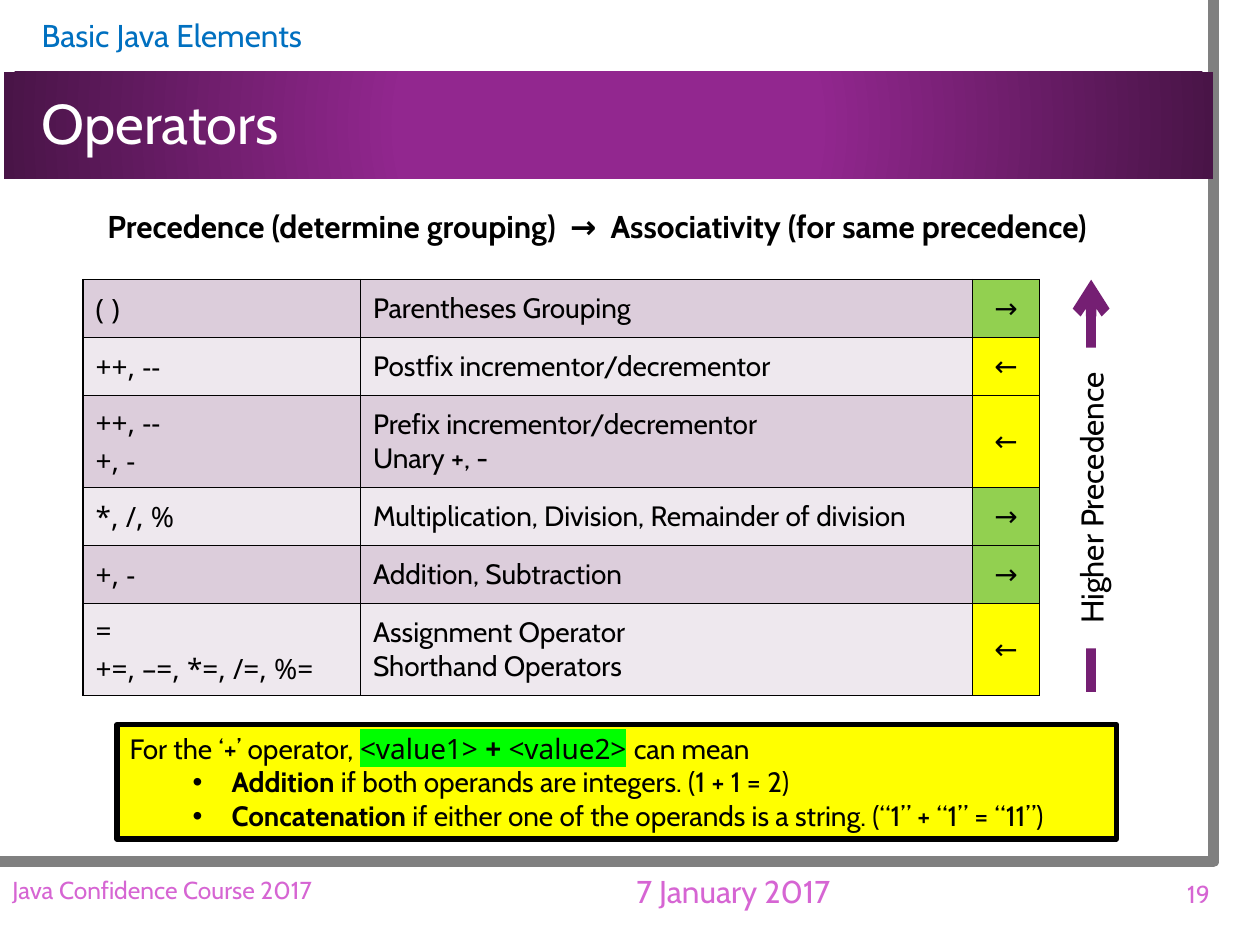
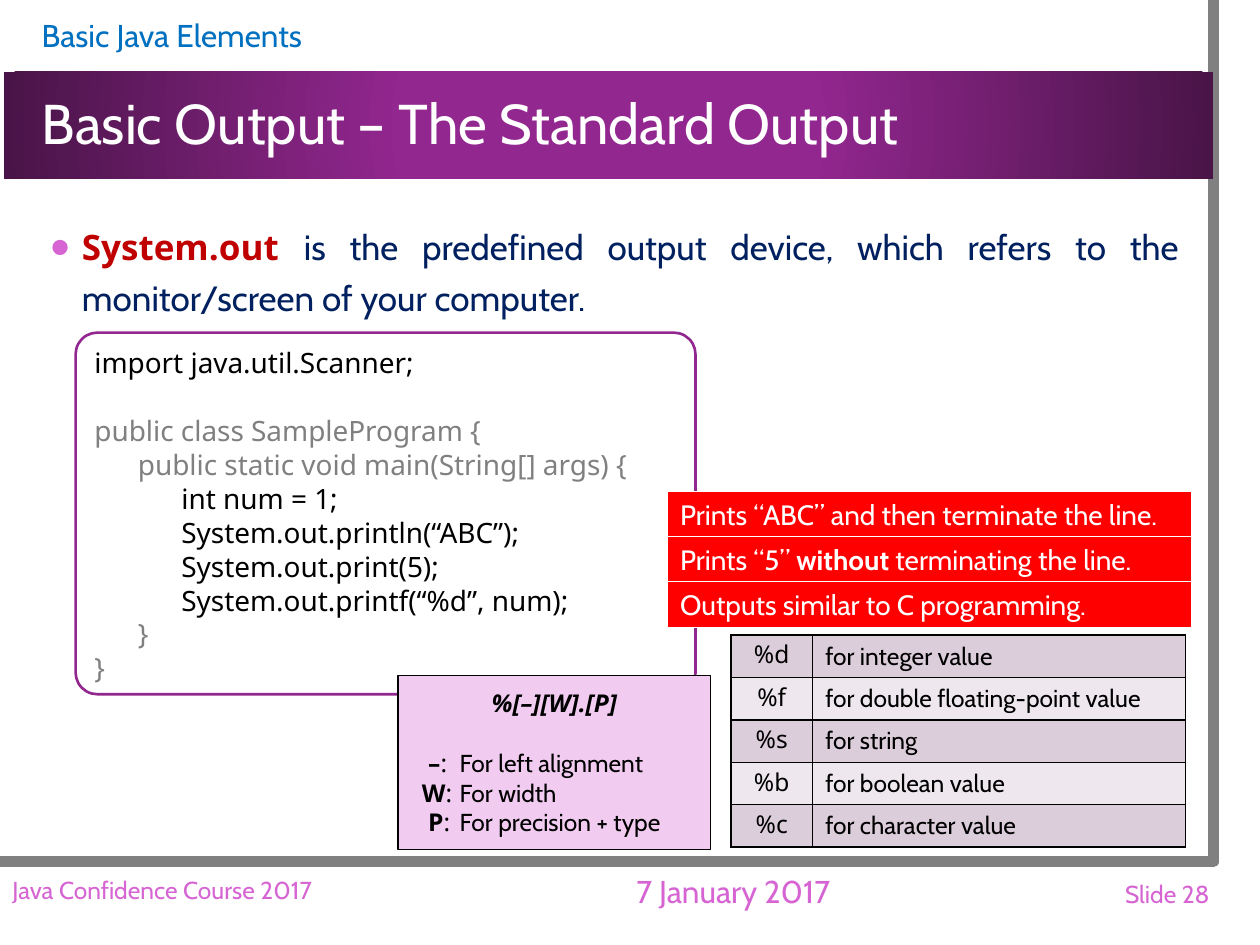
import dataclasses

import lxml.etree
import pptx
import pptx.dml.color
import pptx.enum.shapes
import pptx.enum.text
import pptx.oxml
import pptx.oxml.ns
import pptx.util

TEXT_FONT, CODE_FONT = "Cabin", "Noto Sans"
BLACK, WHITE, GRAY, YELLOW = "000000", "FFFFFF", "808080", "FFFF00"
PURPLE, DARK_PURPLE, PINK = "92278F", "491447", "D665D3"
BANDS = ("DCCDDB", "EEE8EE")
DIRECTION_FILLS = {"→": "92D050", "←": YELLOW}
ALIGN = pptx.enum.text.PP_ALIGN
ANCHOR = pptx.enum.text.MSO_ANCHOR
SHAPE = pptx.enum.shapes.MSO_SHAPE
CELL = pptx.util.Inches(0.1)


@dataclasses.dataclass
class Box:
    left: float
    top: float
    width: float
    height: float

    def share(self, left, top, width, height):
        return Box(self.left + left * self.width, self.top + top * self.height,
                   width * self.width, height * self.height)

    def emu(self):
        return [round(cells * CELL) for cells in dataclasses.astuple(self)]


def rgb(value):
    return pptx.dml.color.RGBColor.from_string(value)


def add_xml(parent, tag, **attributes):
    return lxml.etree.SubElement(parent, pptx.oxml.ns.qn(tag), attributes)


def format_run(run, size=16, font=TEXT_FONT, color=BLACK, bold=False, italic=False, highlight=None):
    run.font.size = pptx.util.Pt(size)
    run.font.bold, run.font.italic = bold, italic
    run.font.color.rgb = rgb(color)
    if highlight:
        add_xml(add_xml(run.font._element, "a:highlight"), "a:srgbClr", val=highlight)
    run.font.name = font


def write(frame, *runs, align=ALIGN.LEFT, line=1.0, before=0, after=0, margin=0, hang=0,
          bullet=None, bullet_size=100, **look):
    first = frame.paragraphs[0]
    paragraph = frame.add_paragraph() if first.runs else first
    paragraph.alignment = align
    paragraph.line_spacing = line if line < 3 else pptx.util.Pt(line)
    paragraph.space_before = pptx.util.Pt(before)
    paragraph.space_after = pptx.util.Pt(after)
    properties = paragraph._p.get_or_add_pPr()
    properties.set("marL", str(pptx.util.Inches(margin)))
    properties.set("indent", str(pptx.util.Inches(-hang)))
    if bullet:
        add_xml(add_xml(properties, "a:buClr"), "a:srgbClr", val=bullet)
        add_xml(properties, "a:buSzPct", val=str(bullet_size * 1000))
        add_xml(properties, "a:buFont", typeface="Arial")
        add_xml(properties, "a:buChar", char="•")
    for item in runs:
        words, changes = (item, {}) if isinstance(item, str) else item
        run = paragraph.add_run()
        run.text = words
        format_run(run, **{**look, **changes})


def prepare(frame, anchor=ANCHOR.TOP, left=0.1, vertical=0.05):
    frame.word_wrap = True
    frame.auto_size = pptx.enum.text.MSO_AUTO_SIZE.NONE
    frame.vertical_anchor = anchor
    frame.margin_left, frame.margin_right = pptx.util.Inches(left), pptx.util.Inches(0.1)
    frame.margin_top = frame.margin_bottom = pptx.util.Inches(vertical)
    return frame


def add_label(slide, box, *runs, anchor=ANCHOR.MIDDLE, left=0.1, **look):
    frame = prepare(slide.shapes.add_textbox(*box.emu()).text_frame, anchor, left)
    write(frame, *runs, **look)


def add_panel(slide, box, fill, line=None, line_width=0.75, kind=SHAPE.RECTANGLE):
    panel = slide.shapes.add_shape(kind, *box.emu())
    panel.shadow.inherit = False
    panel.fill.solid()
    panel.fill.fore_color.rgb = rgb(fill)
    if line:
        panel.line.color.rgb = rgb(line)
        panel.line.width = pptx.util.Pt(line_width)
    else:
        panel.line.fill.background()
    return panel


def fill_placeholder(slide, placeholder, box, anchor, left, *runs, **look):
    slide.shapes._spTree.append(placeholder._element)
    placeholder.left, placeholder.top, placeholder.width, placeholder.height = box.emu()
    write(prepare(placeholder.text_frame, anchor, left), *runs, **look)


def draw_edge(slide, box):
    left, top, width, height = box.emu()
    builder = slide.shapes.build_freeform(left + width, top, 1.0)
    builder.add_line_segments([(left + width, top + height), (left, top + height)], close=False)
    edge = builder.convert_to_shape()
    edge.shadow.inherit = False
    edge.fill.background()
    edge.line.color.rgb = rgb(GRAY)
    edge.line.width = pptx.util.Pt(6.5)


def draw_band(slide, box):
    band = add_panel(slide, box, PURPLE)
    band.fill.gradient()
    for stop, position, color in zip(band.fill.gradient_stops, (0.34, 1), (PURPLE, DARK_PURPLE)):
        stop.position = position
        stop.color.rgb = rgb(color)
    gradient = band._element.spPr.find(pptx.oxml.ns.qn("a:gradFill"))
    gradient.remove(gradient.find(pptx.oxml.ns.qn("a:lin")))
    center = add_xml(gradient, "a:path", path="circle")
    add_xml(center, "a:fillToRect", l="50000", t="50000", r="50000", b="50000")


def draw_footer(slide, box, number):
    look = dict(color=PINK, size=14)
    add_label(slide, box.share(0.44, 0, 0.32, 0.91), "7 January 2017",
              align=ALIGN.CENTER, **{**look, "size": 18})
    add_label(slide, box.share(0, 0, 0.44, 0.87), "Java Confidence Course 2017", **look)
    add_label(slide, box.share(0.76, 0.02, 0.24, 0.98), number, align=ALIGN.RIGHT, **look)


def start_slide(deck, layout, title, number):
    slide = deck.slides.add_slide(deck.slide_layouts[layout])
    add_panel(slide, Box(0.3, 0, 98.3, 72.7), WHITE)
    draw_edge(slide, Box(0, 0, 96.3, 68.4))
    draw_band(slide, Box(0.3, 5.7, 96, 8.5))
    add_label(slide, Box(0.3, 0.8, 96, 4), "Basic Java Elements", left=0.3, size=18, color="0070C0")
    fill_placeholder(slide, slide.shapes.title, Box(0.3, 5.8, 96, 8.4), ANCHOR.MIDDLE, 0.3,
                     title, line=0.9, size=32, color=WHITE)
    draw_footer(slide, Box(0, 68.5, 97, 4.8), number)
    return slide


def add_grid(slide, box, columns, heights, rows, looks, anchor):
    frame = slide.shapes.add_table(len(rows), len(columns), *box.emu())
    table = frame.table
    table.first_row = table.horz_banding = False
    for column, share in zip(table.columns, columns):
        column.width = round(box.width * CELL * share)
    for index, (row, height, content) in enumerate(zip(table.rows, heights, rows)):
        row.height = round(box.height * CELL * height / sum(heights))
        for cell, lines, look in zip(row.cells, content, looks):
            for side in ("a:lnL", "a:lnR", "a:lnT", "a:lnB"):
                border = add_xml(cell._tc.get_or_add_tcPr(), side, w="12700")
                add_xml(add_xml(border, "a:solidFill"), "a:srgbClr", val=BLACK)
            cell.fill.solid()
            cell.fill.fore_color.rgb = rgb(DIRECTION_FILLS.get(lines, BANDS[index % 2]))
            cell.vertical_anchor = anchor
            for text in lines.split("\n"):
                write(cell.text_frame, text, **look)


def draw_operators(slide, box):
    rows = [
        ("( )", "Parentheses Grouping", "→"),
        ("++, --", "Postfix incrementor/decrementor", "←"),
        ("++, --\n+, -", "Prefix incrementor/decrementor\nUnary +, -", "←"),
        ("*, /, %", "Multiplication, Division, Remainder of division", "→"),
        ("+, -", "Addition, Subtraction", "→"),
        ("=\n+=, –=, *=, /=, %=", "Assignment Operator\nShorthand Operators", "←"),
    ]
    heights = [0.73 if "\n" in row[0] else 0.46 for row in rows]
    looks = [dict(font=CODE_FONT), {}, dict(align=ALIGN.CENTER)]
    add_grid(slide, box, (0.29, 0.64, 0.07), heights, rows, looks, ANCHOR.MIDDLE)


def draw_precedence(slide, box):
    left, top, width, height = box.emu()
    middle = left + width // 2
    arrow = slide.shapes.add_connector(pptx.enum.shapes.MSO_CONNECTOR.STRAIGHT,
                                       middle, top + height, middle, top)
    arrow.line.color.rgb = rgb("751F73")
    arrow.line.width = pptx.util.Pt(6)
    add_xml(arrow.line._get_or_add_ln(), "a:tailEnd", type="arrow")
    add_xml(arrow._element.spPr, "a:effectLst")
    length = 0.73 * box.height
    label = Box(box.left + (box.width - length) / 2, box.top + 0.53 * box.height - box.width / 2,
                length, box.width)
    panel = add_panel(slide, label, WHITE)
    panel.rotation = 270
    write(prepare(panel.text_frame), "Higher Precedence", align=ALIGN.CENTER, size=18)


def draw_plus_meaning(slide, box):
    frame = prepare(add_panel(slide, box, YELLOW, BLACK, 3).text_frame)
    marked = dict(font=CODE_FONT, highlight="00FF00")
    write(frame, "For the ‘+’ operator, ", ("<value1> ", marked), ("+", {**marked, "bold": True}),
          (" <value2>", marked), (" ", dict(font=CODE_FONT)), "can mean", line=19.4)
    for meaning, condition in (
            ("Addition", " if both operands are integers. (1 + 1 = 2)"),
            ("Concatenation", " if either one of the operands is a string. (“1” + “1” = “11”)")):
        write(frame, (meaning, dict(bold=True)), condition, line=19.4,
              margin=0.81, hang=0.31, bullet=BLACK)


def draw_program(slide, box):
    panel = add_panel(slide, box, WHITE, PURPLE, 1.5, SHAPE.ROUNDED_RECTANGLE)
    panel.adjustments[0] = 0.06
    frame = prepare(panel.text_frame)
    for code, color, before in (
            ("import java.util.Scanner;", BLACK, 0),
            ("public class SampleProgram {", GRAY, 19.4),
            ("      public static void main(String[] args) {", GRAY, 0),
            ("            int num = 1;", BLACK, 0),
            ("            System.out.println(“ABC”);", BLACK, 0),
            ("            System.out.print(5);", BLACK, 0),
            ("            System.out.printf(“%d”, num);", BLACK, 0),
            ("      }", GRAY, 0),
            ("}", GRAY, 0)):
        write(frame, code, font=CODE_FONT, color=color, before=before, line=19.4)


def draw_print_notes(slide, box):
    notes = (["Prints “ABC” and then terminate the line."],
             ["Prints “5” ", ("without", dict(bold=True)), " terminating the line."],
             ["Outputs similar to C programming."])
    for index, note in enumerate(notes):
        panel = add_panel(slide, box.share(0, index * 0.33, 1, 0.34), "FF0000", WHITE)
        write(prepare(panel.text_frame), *note, color=WHITE)


def draw_conversions(slide, box):
    kinds = dict(d="integer", f="double floating-point", s="string", b="boolean", c="character")
    rows = [(f"%{letter}", f"for {kind}" + ("" if letter == "s" else " value"))
            for letter, kind in kinds.items()]
    looks = [dict(font=CODE_FONT, align=ALIGN.CENTER, size=14, line=17), dict(size=14, line=17)]
    add_grid(slide, box, (0.18, 0.82), [1] * len(rows), rows, looks, ANCHOR.TOP)


def draw_format_key(slide, box):
    frame = prepare(add_panel(slide, box, "F1CCF0", BLACK).text_frame, vertical=0.1)
    write(frame, "%[–][W].[P]", align=ALIGN.CENTER, size=14, font=CODE_FONT,
          bold=True, italic=True, line=17)
    code = dict(font=CODE_FONT)
    for symbol, meaning, hang, before in (("–", "For left alignment", 0.25, 17),
                                          ("W", "For width", 0.3, 0),
                                          ("P", "For precision + type", 0.25, 0)):
        write(frame, (symbol, {**code, "bold": True}), (":\t", code), meaning,
              size=14, line=17, before=before, margin=0.39, hang=hang)


def build_operators_slide(deck):
    slide = start_slide(deck, 5, "Operators", "19")
    draw_operators(slide, Box(6.6, 22.2, 75.9, 33))
    draw_precedence(slide, Box(84.6, 22.2, 4, 32.7))
    draw_plus_meaning(slide, Box(9.3, 57.5, 79.3, 9.1))
    add_label(slide, Box(2.1, 15.9, 90.6, 4),
              "Precedence (determine grouping)  →  Associativity (for same precedence)",
              anchor=ANCHOR.TOP, align=ALIGN.CENTER, size=18, bold=True)


def build_output_slide(deck):
    slide = start_slide(deck, 1, "Basic Output – The Standard Output", "Slide 28")
    fill_placeholder(
        slide, slide.placeholders[1], Box(3, 16.7, 91.6, 50.2), ANCHOR.TOP, 0.1,
        ("System.out ", dict(font=CODE_FONT, color="C00000", bold=True)),
        "is the predefined output device, which refers to the monitor/screen of your computer.",
        align=ALIGN.JUSTIFY, line=29.2, after=12, margin=0.25, hang=0.25,
        bullet=PINK, bullet_size=160, size=20, color="002060")
    draw_program(slide, Box(6, 26.4, 49.2, 28.7))
    draw_print_notes(slide, Box(53, 39, 41.6, 10.8))
    draw_conversions(slide, Box(58, 50.4, 36.1, 16.7))
    draw_format_key(slide, Box(31.6, 53.6, 24.8, 13.8))


def main():
    deck = pptx.Presentation()
    deck.slide_width, deck.slide_height = 100 * CELL, 75 * CELL
    build_operators_slide(deck)
    build_output_slide(deck)
    deck.save("out.pptx")


if __name__ == "__main__":
    main()
